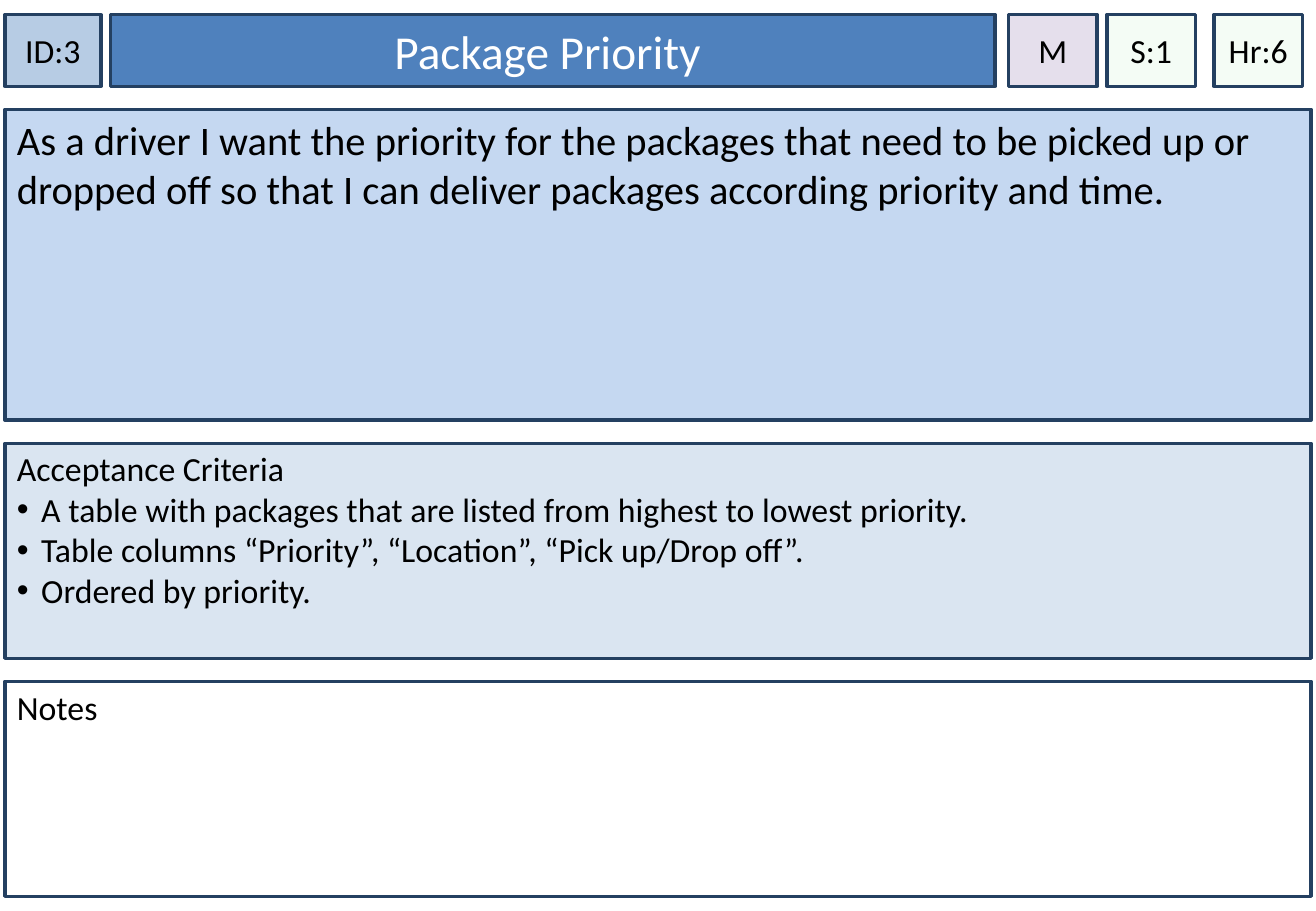
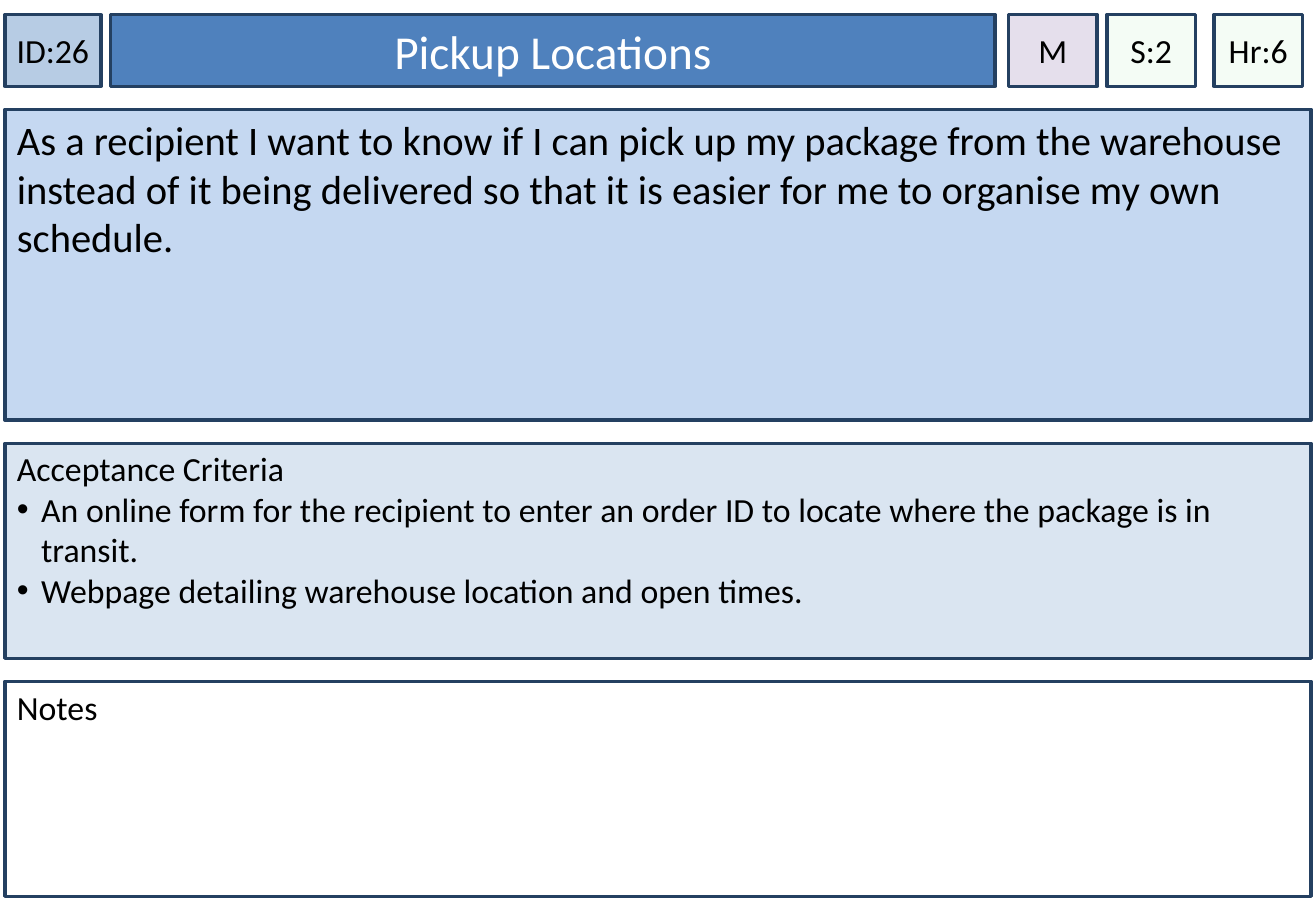
import pptx
import pptx.dml.color
import pptx.enum.shapes
import pptx.enum.text
import pptx.oxml
import pptx.oxml.ns
import pptx.util

RGBColor = pptx.dml.color.RGBColor
PP_ALIGN = pptx.enum.text.PP_ALIGN
ANCHOR = pptx.enum.text.MSO_ANCHOR

# Scale: 100 px to the inch
EMU_PER_PX = 9144
SLIDE_W, SLIDE_H = 1083, 750

# Shared look
FONT = "Calibri"
BLACK = RGBColor(0x00, 0x00, 0x00)
WHITE = RGBColor(0xFF, 0xFF, 0xFF)
NAVY = RGBColor(0x24, 0x40, 0x61)
TITLE_BLUE = RGBColor(0x4F, 0x81, 0xBD)
ID_BLUE = RGBColor(0xB7, 0xCC, 0xE4)
STORY_BLUE = RGBColor(0xC5, 0xD8, 0xF1)
CRITERIA_BLUE = RGBColor(0xDA, 0xE5, 0xF1)
PRIORITY_LILAC = RGBColor(0xE5, 0xDF, 0xEC)
ESTIMATE_GREEN = RGBColor(0xCC, 0xF0, 0xCD)

# Shared layout
LEFT = 4
HEADER_TOP, HEADER_H = 12, 59
TAG_W = 73
PANEL_W, PANEL_GAP = 1075, 19
STORY_H, LIST_H = 256, 177
BULLET_INDENT = 20

CARDS = [
    {
        "id": "ID:3", "title": "Package Priority ",
        "priority": "M", "sprint": "S:1", "hours": "Hr:6",
        "story": "As a driver I want the priority for the packages that need to be "
                 "picked up or dropped off so that I can deliver packages according "
                 "priority and time.",
        "criteria": [
            "A table with packages that are listed from highest to lowest priority.",
            "Table columns “Priority”, “Location”, “Pick up/Drop off”.",
            "Ordered by priority.",
        ],
    },
    {
        "id": "ID:26", "title": "Pickup Locations",
        "priority": "M", "sprint": "S:2", "hours": "Hr:6",
        "story": "As a recipient I want to know if I can pick up my package from the "
                 "warehouse instead of it being delivered so that it is easier for me "
                 "to organise my own schedule.",
        "criteria": [
            "An online form for the recipient to enter an order ID to locate where "
            "the package is in transit.",
            "Webpage detailing warehouse location and open times.",
        ],
    },
]


def px(length):
    return pptx.util.Emu(length * EMU_PER_PX)


def add_box(slide, left, top, width, height, fill, opacity=100):
    """Add an outlined rectangle; opacity is in percent."""
    box = slide.shapes.add_shape(pptx.enum.shapes.MSO_SHAPE.RECTANGLE,
                                 px(left), px(top), px(width), px(height))
    box.shadow.inherit = False
    box.fill.solid()
    box.fill.fore_color.rgb = fill
    box.line.color.rgb = NAVY
    box.line.width = pptx.util.Pt(2)
    if opacity < 100:
        color = box.fill._xPr.find(".//" + pptx.oxml.ns.qn("a:srgbClr"))
        alpha = pptx.oxml.parse_xml(
            f'<a:alpha {pptx.oxml.ns.nsdecls("a")} val="{opacity * 1000}"/>')
        color.append(alpha)
    return box


def add_bullet(paragraph):
    """Give a paragraph a round bullet with a hanging indent."""
    props = paragraph._p.get_or_add_pPr()
    props.set("marL", str(px(BULLET_INDENT)))
    props.set("indent", str(-px(BULLET_INDENT)))
    namespace = pptx.oxml.ns.nsdecls("a")
    for bullet_xml in (f'<a:buFont {namespace} typeface="Arial"/>',
                       f'<a:buChar {namespace} char="•"/>'):
        props.append(pptx.oxml.parse_xml(bullet_xml))


def write_text(box, text, bullets=(), size=20, color=BLACK, align=PP_ALIGN.LEFT,
               anchor=ANCHOR.TOP, side_inset=10, top_inset=5):
    """Write a lead paragraph and optional bullets into a box."""
    frame = box.text_frame
    frame.word_wrap = True
    frame.vertical_anchor = anchor
    frame.margin_left = frame.margin_right = px(side_inset)
    frame.margin_top, frame.margin_bottom = px(top_inset), px(5)
    for index, line in enumerate([text, *bullets]):
        paragraph = frame.add_paragraph() if index else frame.paragraphs[0]
        paragraph.alignment = align
        if index:
            add_bullet(paragraph)
        run = paragraph.add_run()
        run.text = line
        run.font.name = FONT
        run.font.size = pptx.util.Pt(size)
        run.font.color.rgb = color


def add_header_box(slide, text, left, width, fill, opacity=100, **text_format):
    box = add_box(slide, left, HEADER_TOP, width, HEADER_H, fill, opacity)
    write_text(box, text, align=PP_ALIGN.CENTER, anchor=ANCHOR.MIDDLE, **text_format)


def add_panel(slide, text, top, height, fill, **text_format):
    """Add a full-width panel and return the top of the next one."""
    box = add_box(slide, LEFT, top, PANEL_W, height, fill)
    write_text(box, text, **text_format)
    return top + height + PANEL_GAP


def add_card(deck, card):
    slide = deck.slides.add_slide(deck.slide_layouts[6])

    # Header: ID, title and the three tags
    add_header_box(slide, card["id"], LEFT, 79, ID_BLUE, side_inset=0)
    add_header_box(slide, card["title"], 91, 728, TITLE_BLUE, size=28, color=WHITE)
    for tag, left, fill, opacity in (("priority", 830, PRIORITY_LILAC, 100),
                                     ("sprint", 911, ESTIMATE_GREEN, 20),
                                     ("hours", 999, ESTIMATE_GREEN, 20)):
        add_header_box(slide, card[tag], left, TAG_W, fill, opacity, side_inset=0)

    # Body: story, acceptance criteria, notes
    top = HEADER_TOP + HEADER_H + PANEL_GAP
    top = add_panel(slide, card["story"], top, STORY_H, STORY_BLUE, size=24)
    top = add_panel(slide, "Acceptance Criteria", top, LIST_H, CRITERIA_BLUE,
                    bullets=card["criteria"], top_inset=4)
    add_panel(slide, "Notes", top, LIST_H, WHITE, top_inset=4)


def main():
    deck = pptx.Presentation()
    deck.slide_width, deck.slide_height = px(SLIDE_W), px(SLIDE_H)
    for card in CARDS:
        add_card(deck, card)
    deck.save("out.pptx")


if __name__ == "__main__":
    main()
